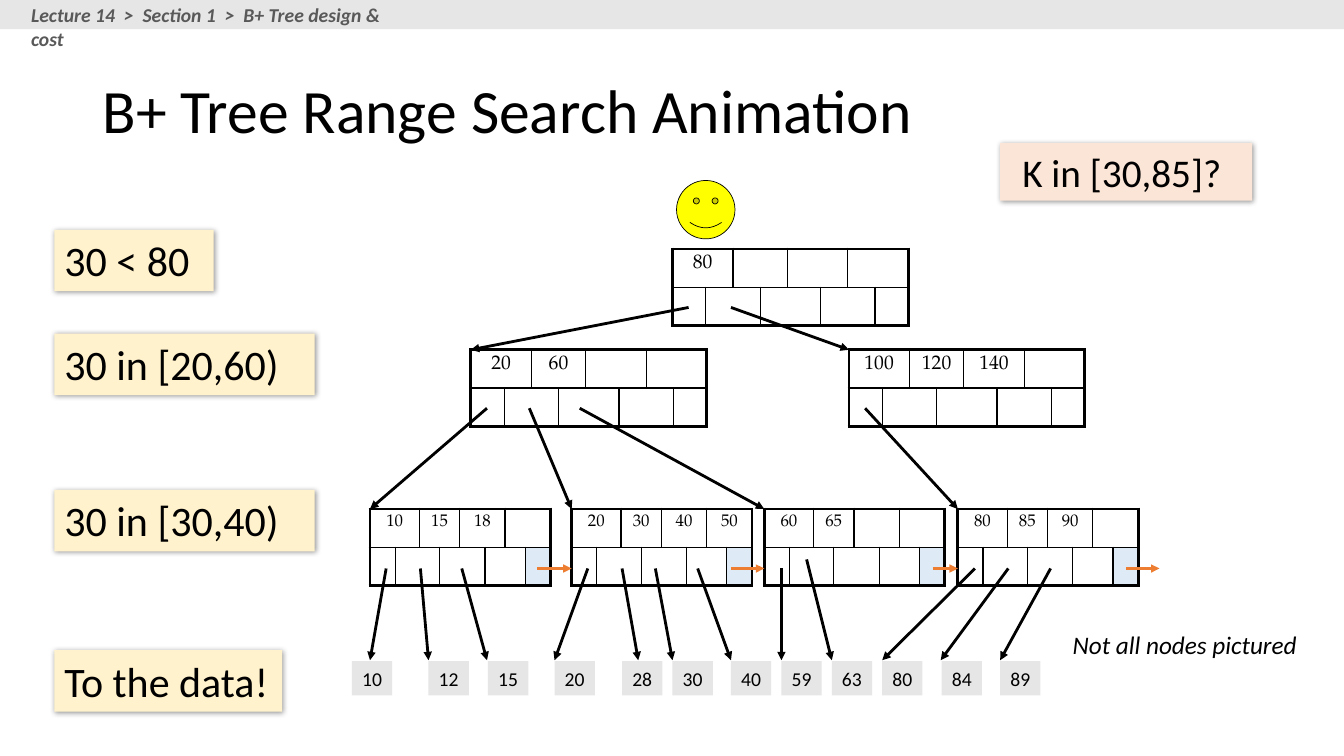
"""Build the B+ tree range search slide."""
from dataclasses import dataclass

from lxml.etree import SubElement
from pptx import Presentation
from pptx.dml.color import RGBColor
from pptx.enum.shapes import MSO_CONNECTOR, MSO_SHAPE
from pptx.enum.text import MSO_ANCHOR, MSO_AUTO_SIZE, PP_ALIGN
from pptx.oxml import parse_xml
from pptx.oxml.ns import nsdecls, qn
from pptx.util import Emu, Pt

PX = 9144
COLORS = {
    "ink": "000000", "next": "ED7D31", "leaf": "DEEBF7", "gray": "E7E6E6",
    "query": "FBE5D6", "step": "FFF2CC", "smiley": "FFFF00", "crumb": "595959",
}
SANS, SERIF = "Calibri", "TeX Gyre Pagella"
THIN, THICK = 12700, 28575
KEY_SPANS = (2, 2, 2, 2)
POINTER_SPANS = (1, 2, 2, 2, 1)
ROW_HEIGHT = 38


@dataclass(frozen=True)
class Node:
    x: int
    y: int
    keys: tuple[str, ...]
    leaf: bool = False


@dataclass(frozen=True)
class Arrow:
    x1: int
    y1: int
    x2: int
    y2: int
    color: str = "ink"


@dataclass(frozen=True)
class Label:
    x: int
    y: int
    w: int
    h: int
    text: str
    size: int
    fill: str | None = None
    color: str = "ink"
    center: bool = False
    middle: bool = False
    shadow: bool = False
    wrap: bool = True
    bold: bool = False
    italic: bool = False
    spacing: float = 1.0


NODES = (
    Node(667, 247, ("80",)),
    Node(467, 347, ("20", "60")),
    Node(842, 347, ("100", "120", "140")),
    Node(367, 505, ("10", "15", "18"), True),
    Node(567, 505, ("20", "30", "40", "50"), True),
    Node(758, 505, ("60", "65"), True),
    Node(950, 505, ("80", "85", "90"), True),
)
CHILD_ARROWS = (
    Arrow(683, 305, 467, 347), Arrow(725, 305, 842, 347),
    Arrow(483, 405, 367, 505), Arrow(525, 405, 567, 505),
    Arrow(575, 405, 758, 505), Arrow(858, 405, 950, 505),
)
NEXT_ARROWS = tuple(
    Arrow(x1, 564, x2, 564, "next")
    for x1, x2 in ((533, 567), (725, 758), (925, 950), (1117, 1150))
)
DATA_ARROWS = tuple(
    Arrow(x1, y1, x2, 655)
    for x1, y1, x2 in (
        (383, 564, 367), (417, 564, 425), (458, 564, 483), (583, 564, 550),
        (617, 564, 633), (650, 564, 667), (692, 564, 725), (775, 564, 775),
        (800, 555, 825), (967, 564, 875), (1000, 564, 933), (1042, 564, 992),
    )
)
DATA = tuple(
    Label(x, 656, 40, 34, text, 14, "gray", center=True, middle=True, wrap=False)
    for x, text in (
        (349, "10"), (425, "12"), (484, "15"), (550, "20"), (617, "28"), (667, "30"),
        (725, "40"), (775, "59"), (825, "63"), (875, "80"), (934, "84"), (992, "89"),
    )
)
STEPS = tuple(
    Label(54, y, w, 61, text, 30, "step", shadow=True)
    for y, w, text in (
        (228, 158, "30 < 80"), (331, 258, "30 in [20,60)"),
        (486, 258, "30 in [30,40)"), (645, 226, "To the data!"),
    )
)
TITLE = Label(92, 40, 1150, 145, "B+ Tree Range Search Animation", 44,
              middle=True, spacing=0.9)
QUERY = Label(992, 142, 250, 57, "K in [30,85]? ", 28, "query", center=True, shadow=True)
REMARK = Label(1054, 619, 245, 40, "Not all nodes pictured", 18, wrap=False, italic=True)
CRUMB = Label(21, -2, 397, 34, "Lecture 14  >  Section 1  >  B+ Tree design & cost", 14,
              color="crumb", bold=True, italic=True)


def px(value: int) -> Emu:
    return Emu(value * PX)


def rgb(name: str) -> RGBColor:
    return RGBColor.from_string(COLORS[name])


def add_figure(shapes, kind: MSO_SHAPE, x: int, y: int, w: int, h: int, fill: str):
    sp = shapes.add_shape(kind, px(x), px(y), px(w), px(h))
    sp.shadow.inherit = False
    sp.fill.solid()
    sp.fill.fore_color.rgb = rgb(fill)
    sp.line.fill.background()
    return sp


def add_label(shapes, label: Label) -> None:
    box = (label.x, label.y, label.w, label.h)
    if label.fill:
        sp = add_figure(shapes, MSO_SHAPE.RECTANGLE, *box, label.fill)
    else:
        sp = shapes.add_textbox(*map(px, box))
    if label.shadow:
        effects = sp._element.spPr.find(qn("a:effectLst"))
        effects.append(parse_xml(
            f'<a:outerShdw {nsdecls("a")} blurRad="50800" dist="12700" dir="2700000">'
            f'<a:srgbClr val="{COLORS["ink"]}"><a:alpha val="40000"/></a:srgbClr>'
            '</a:outerShdw>'))
    tf = sp.text_frame
    tf.word_wrap = label.wrap
    tf.auto_size = MSO_AUTO_SIZE.NONE if label.middle else MSO_AUTO_SIZE.SHAPE_TO_FIT_TEXT
    tf.vertical_anchor = MSO_ANCHOR.MIDDLE if label.middle else MSO_ANCHOR.TOP
    p = tf.paragraphs[0]
    p.text = label.text
    p.alignment = PP_ALIGN.CENTER if label.center else PP_ALIGN.LEFT
    p.line_spacing = label.spacing
    p.font.name, p.font.size = SANS, Pt(label.size)
    p.font.bold, p.font.italic = label.bold, label.italic
    p.font.color.rgb = rgb(label.color)


def add_arrow(shapes, arrow: Arrow) -> None:
    cxn = shapes.add_connector(MSO_CONNECTOR.STRAIGHT, px(arrow.x1), px(arrow.y1),
                               px(arrow.x2), px(arrow.y2))
    cxn.line.color.rgb = rgb(arrow.color)
    cxn.line.width = Pt(2)
    SubElement(cxn.line._get_or_add_ln(), qn("a:tailEnd"), type="triangle")
    SubElement(cxn._element.spPr, qn("a:effectLst"))


def set_borders(cell, left: int, right: int, top: int, bottom: int) -> None:
    tc_pr = cell._tc.get_or_add_tcPr()
    for i, (side, width) in enumerate(zip("LRTB", (left, right, top, bottom))):
        tc_pr.insert(i, parse_xml(
            f'<a:ln{side} {nsdecls("a")} w="{width}"><a:solidFill>'
            f'<a:srgbClr val="{COLORS["ink"]}"/></a:solidFill></a:ln{side}>'))


def add_node(shapes, node: Node) -> None:
    wide, narrow = (25, 20) if node.leaf else (33, 27)
    widths = [wide if col in (0, 4, 7) else narrow for col in range(8)]
    table = shapes.add_table(2, 8, px(node.x), px(node.y), px(sum(widths)),
                             px(2 * ROW_HEIGHT)).table
    table.first_row = table.horz_banding = False
    for column, width in zip(table.columns, widths):
        column.width = px(width)
    for row, spans in enumerate((KEY_SPANS, POINTER_SPANS)):
        table.rows[row].height = px(ROW_HEIGHT)
        start = 0
        for slot, span in enumerate(spans):
            end = start + span - 1
            for col in range(start, end + 1):
                cell = table.cell(row, col)
                cell.fill.background()
                cell.margin_top = cell.margin_bottom = 0
                set_borders(cell, THICK if col == 0 else THIN, THICK if end == 7 else THIN,
                            THIN if row else THICK, THICK if row else THIN)
            cell = table.cell(row, start)
            if span > 1:
                cell.merge(table.cell(row, end))
            if row == 0 and slot < len(node.keys):
                cell.margin_top = cell.margin_bottom = px(5)
                p = cell.text_frame.paragraphs[0]
                p.text = node.keys[slot]
                p.alignment = PP_ALIGN.CENTER
                p.font.name, p.font.size = SERIF, Pt(12 if node.leaf else 14)
                p.font.color.rgb = rgb("ink")
            start += span
    if node.leaf:
        last = table.cell(1, 7)
        last.fill.solid()
        last.fill.fore_color.rgb = rgb("leaf")


def main() -> None:
    prs = Presentation()
    prs.slide_width, prs.slide_height = px(1333), px(750)
    s = prs.slides.add_slide(prs.slide_layouts[6])
    add_label(s.shapes, TITLE)
    for node in NODES:
        add_node(s.shapes, node)
    for label in DATA:
        add_label(s.shapes, label)
    for arrow in CHILD_ARROWS + NEXT_ARROWS + DATA_ARROWS:
        add_arrow(s.shapes, arrow)
    for label in (QUERY, *STEPS, REMARK):
        add_label(s.shapes, label)
    smiley = add_figure(s.shapes, MSO_SHAPE.SMILEY_FACE, 671, 179, 58, 58, "smiley")
    smiley.line.color.rgb = rgb("ink")
    smiley.line.width = Pt(0.5)
    header = s.shapes.add_group_shape().shapes
    add_figure(header, MSO_SHAPE.RECTANGLE, 0, 0, 1333, 29, "gray")
    add_label(header, CRUMB)
    prs.save("out.pptx")


if __name__ == "__main__":
    main()
